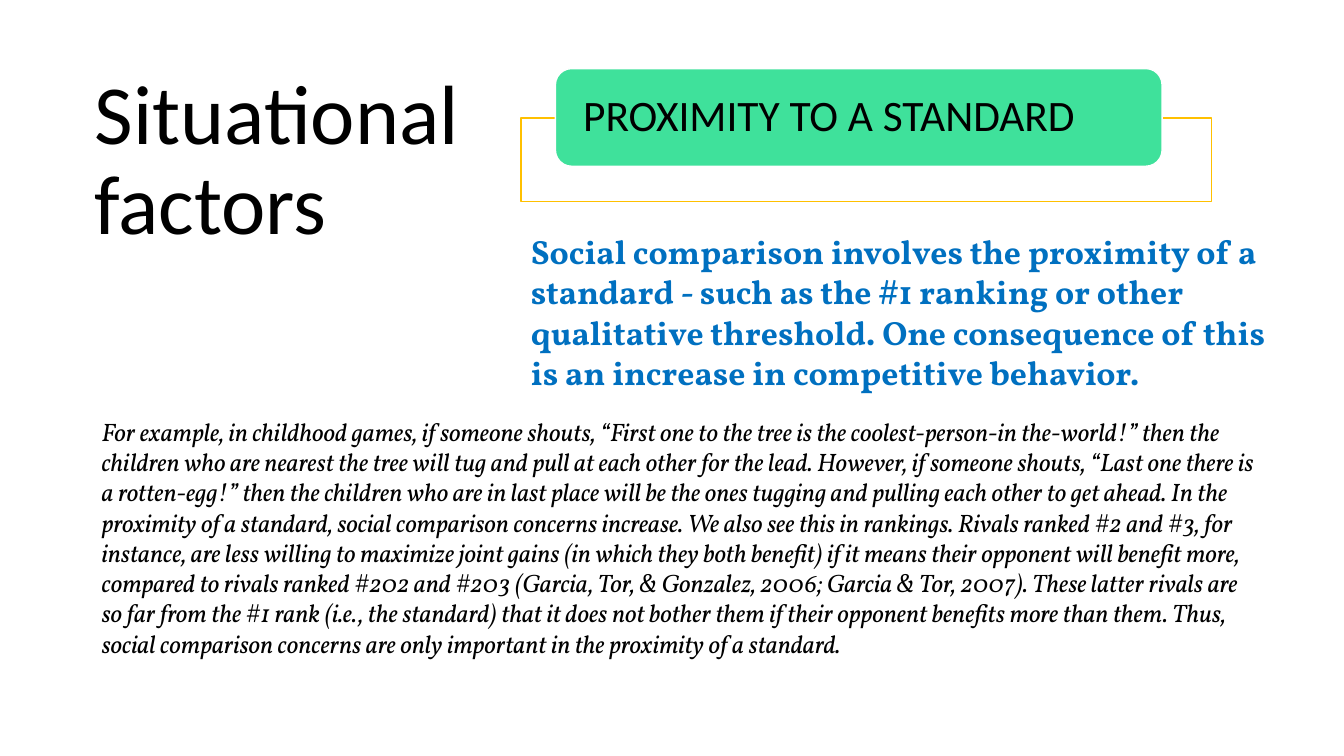
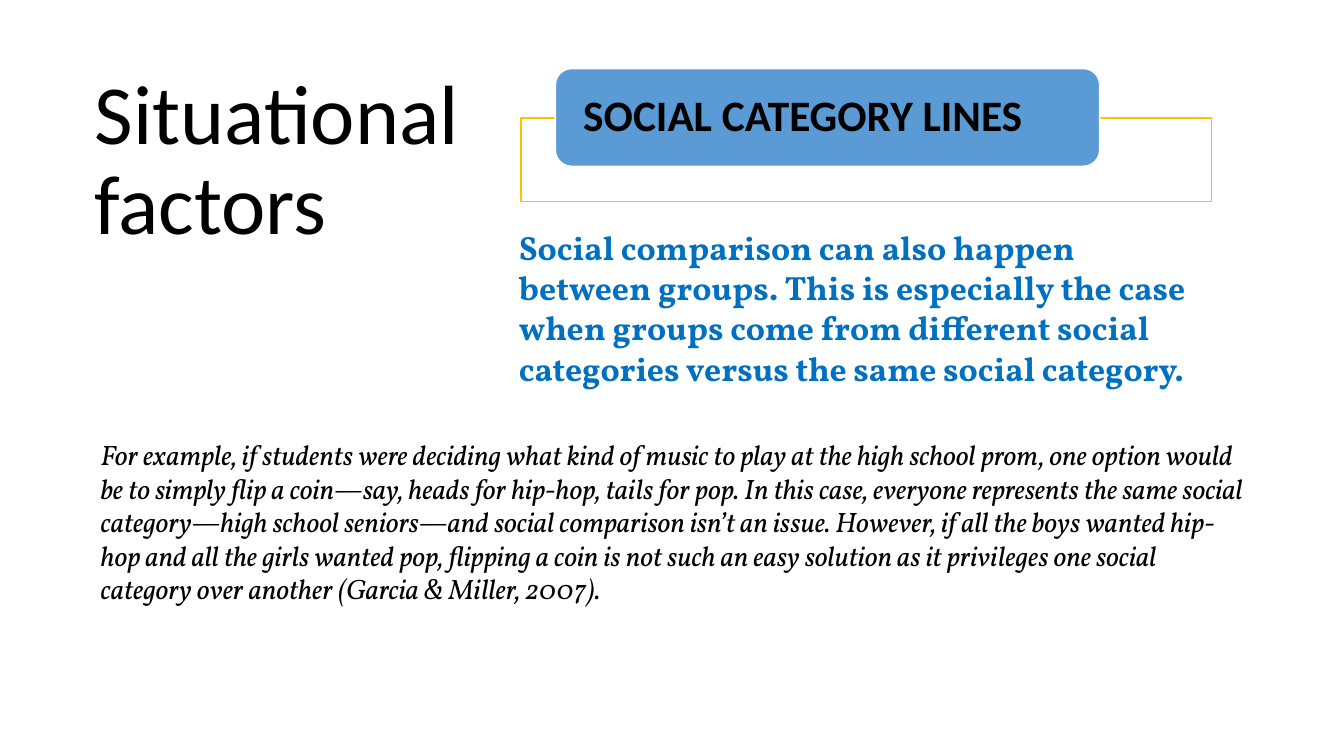
from dataclasses import dataclass

from lxml.etree import SubElement
from pptx import Presentation
from pptx.dml.color import RGBColor
from pptx.enum.shapes import MSO_SHAPE
from pptx.enum.text import MSO_ANCHOR, PP_ALIGN
from pptx.oxml.ns import qn
from pptx.shapes.autoshape import Shape
from pptx.slide import Slide
from pptx.util import Pt


@dataclass(frozen=True)
class Theme:
    black: RGBColor = RGBColor(0x00, 0x00, 0x00)
    white: RGBColor = RGBColor(0xFF, 0xFF, 0xFF)
    gold: RGBColor = RGBColor(0xFF, 0xC0, 0x00)
    green: RGBColor = RGBColor(0x3F, 0xE1, 0x9B)
    blue: RGBColor = RGBColor(0x5B, 0x9B, 0xD5)
    summary_blue: RGBColor = RGBColor(0x00, 0x70, 0xC0)
    heading_font: str = "Calibri"
    body_font: str = "Vollkorn"
    title_size: float = 60
    label_size: float = 31
    summary_size: float = 24
    long_detail_size: float = 18
    short_detail_size: float = 20


THEME = Theme()


@dataclass(frozen=True)
class Box:
    """A rectangle in points."""
    left: float
    top: float
    width: float
    height: float

    def lengths(self) -> list[Pt]:
        return [Pt(v) for v in (self.left, self.top, self.width, self.height)]


@dataclass(frozen=True)
class Style:
    font: str
    size: float
    color: RGBColor = THEME.black
    bold: bool = False
    italic: bool = False
    spacing: float = 1.0
    anchor: MSO_ANCHOR = MSO_ANCHOR.TOP
    insets: tuple[float, float] = (7.2, 3.6)


@dataclass(frozen=True)
class Factor:
    label: str
    label_bold: bool
    tab_width: float
    tab_color: RGBColor
    summary: str
    summary_box: Box
    detail: tuple[str, ...]  # sentences of one paragraph
    detail_box: Box
    detail_size: float


TITLE = "Situational factors"
TITLE_BOX = Box(49.7, 17.3, 299.5, 197.3)
FRAME_BOX = Box(372.2, 84.2, 493.2, 59.8)
TAB_LEFT, TAB_TOP, TAB_HEIGHT = 396.7, 49, 69.8

FACTORS = (
    Factor(
        label="PROXIMITY TO A STANDARD",
        label_bold=False,
        tab_width=433.4,
        tab_color=THEME.green,
        summary="Social comparison involves the proximity of a standard - such as "
                "the #1 ranking or other qualitative threshold. One consequence of "
                "this is an increase in competitive behavior.",
        summary_box=Box(372.2, 161.3, 550.8, 123.8),
        detail=(
            "For example, in childhood games, if someone shouts, “First one to "
            "the tree is the coolest-person-in the-world!” then the children who "
            "are nearest the tree will tug and pull at each other for the lead.",
            "However, if someone shouts, “Last one there is a rotten-egg!” then "
            "the children who are in last place will be the ones tugging and "
            "pulling each other to get ahead.",
            "In the proximity of a standard, social comparison concerns increase.",
            "We also see this in rankings.",
            "Rivals ranked #2 and #3, for instance, are less willing to maximize "
            "joint gains (in which they both benefit) if it means their opponent "
            "will benefit more, compared to rivals ranked #202 and #203 (Garcia, "
            "Tor, & Gonzalez, 2006; Garcia & Tor, 2007).",
            "These latter rivals are so far from the #1 rank (i.e., the standard) "
            "that it does not bother them if their opponent benefits more than "
            "them.",
            "Thus, social comparison concerns are only important in the proximity "
            "of a standard.",
        ),
        detail_box=Box(65.5, 293.8, 838.8, 225.4),
        detail_size=THEME.long_detail_size,
    ),
    Factor(
        label="SOCIAL CATEGORY LINES",
        label_bold=True,
        tab_width=388.8,
        tab_color=THEME.blue,
        summary="Social comparison can also happen between groups. This is "
                "especially the case when groups come from different social "
                "categories versus the same social category.",
        summary_box=Box(363.6, 158.4, 509.8, 123.8),
        detail=(
            "For example, if students were deciding what kind of music to play at "
            "the high school prom, one option would be to simply flip a coin—say, "
            "heads for hip-hop, tails for pop.",
            "In this case, everyone represents the same social category—high "
            "school seniors—and social comparison isn’t an issue.",
            "However, if all the boys wanted hip-hop and all the girls wanted pop, "
            "flipping a coin is not such an easy solution as it privileges one "
            "social category over another (Garcia & Miller, 2007).",
        ),
        detail_box=Box(64.8, 308.9, 835.2, 152.6),
        detail_size=THEME.short_detail_size,
    ),
)


def write(sp: Shape, text: str, style: Style) -> None:
    tf = sp.text_frame
    side, edge = (Pt(v) for v in style.insets)
    frame_format = {
        "word_wrap": True, "vertical_anchor": style.anchor,
        "margin_left": side, "margin_right": side,
        "margin_top": edge, "margin_bottom": edge,
    }
    for name, value in frame_format.items():
        setattr(tf, name, value)
    p = tf.paragraphs[0]
    p.alignment = PP_ALIGN.LEFT
    p.line_spacing = style.spacing
    r = p.add_run()
    r.text = text
    font_format = {
        "name": style.font, "size": Pt(style.size),
        "bold": style.bold, "italic": style.italic,
    }
    for name, value in font_format.items():
        setattr(r.font, name, value)
    r.font.color.rgb = style.color


def add_text(s: Slide, box: Box, text: str, style: Style) -> None:
    write(s.shapes.add_textbox(*box.lengths()), text, style)


def add_panel(s: Slide, kind: MSO_SHAPE, box: Box, fill: RGBColor, line: RGBColor) -> Shape:
    sp = s.shapes.add_shape(kind, *box.lengths())
    sp.shadow.inherit = False
    sp.fill.solid()
    sp.fill.fore_color.rgb = fill
    sp.line.color.rgb = line
    sp.line.width = Pt(1)
    return sp


def set_opacity(sp: Shape, percent: int) -> None:
    color = sp.element.spPr.find(qn("a:solidFill")).find(qn("a:srgbClr"))
    SubElement(color, qn("a:alpha")).set("val", str(percent * 1000))


def add_factor_slide(prs: Presentation, factor: Factor) -> None:
    s = prs.slides.add_slide(prs.slide_layouts[6])

    # Title
    add_text(s, TITLE_BOX, TITLE, Style(
        THEME.heading_font, THEME.title_size, spacing=0.9,
        anchor=MSO_ANCHOR.MIDDLE, insets=(18, 18)))

    # Framed label
    frame = add_panel(s, MSO_SHAPE.RECTANGLE, FRAME_BOX, THEME.white, THEME.gold)
    set_opacity(frame, 90)
    tab_box = Box(TAB_LEFT, TAB_TOP, factor.tab_width, TAB_HEIGHT)
    tab = add_panel(s, MSO_SHAPE.ROUNDED_RECTANGLE, tab_box, factor.tab_color, THEME.white)
    write(tab, factor.label, Style(
        THEME.heading_font, THEME.label_size, bold=factor.label_bold,
        spacing=0.9, anchor=MSO_ANCHOR.MIDDLE, insets=(16.5, 0)))

    # Summary and example
    add_text(s, factor.summary_box, factor.summary, Style(
        THEME.body_font, THEME.summary_size, THEME.summary_blue, bold=True))
    add_text(s, factor.detail_box, " ".join(factor.detail), Style(
        THEME.body_font, factor.detail_size, italic=True))


def main() -> None:
    prs = Presentation()
    prs.slide_width, prs.slide_height = Pt(960), Pt(540)
    for factor in FACTORS:
        add_factor_slide(prs, factor)
    prs.save("out.pptx")


if __name__ == "__main__":
    main()
